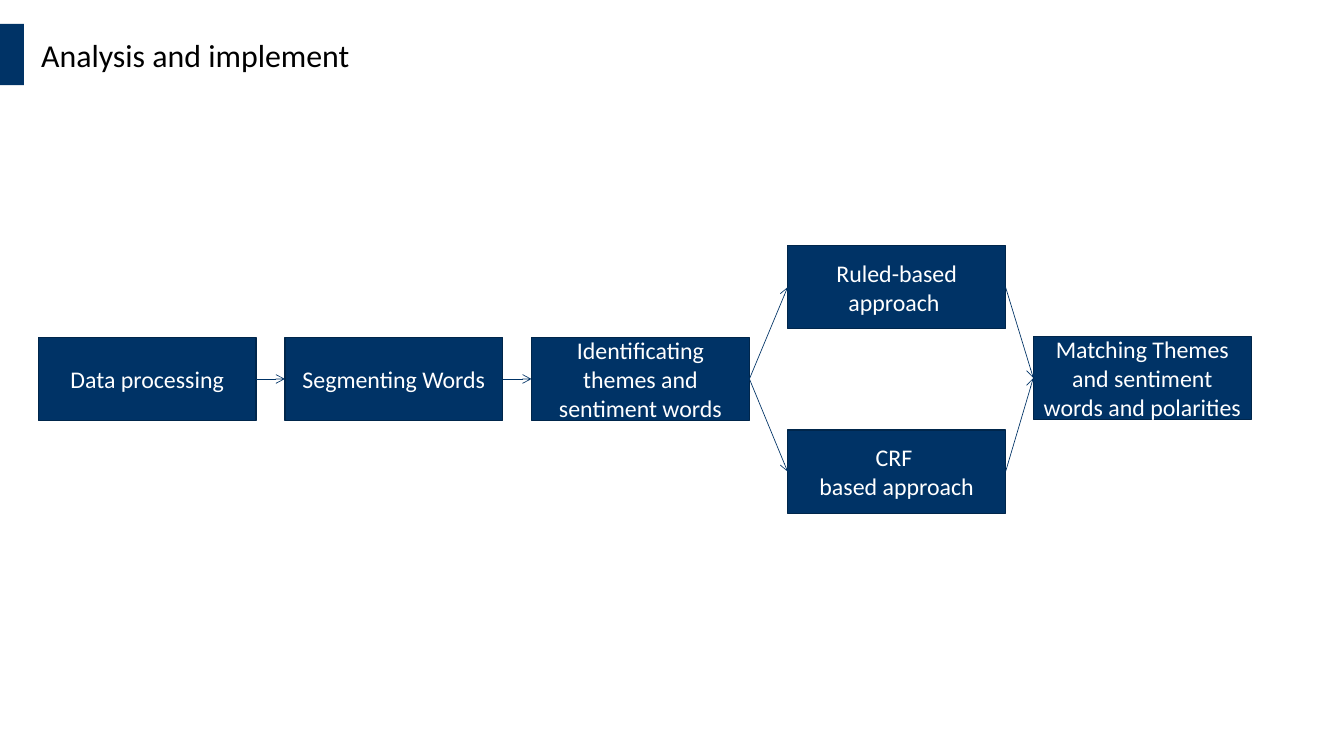
from lxml.etree import SubElement
from pptx import Presentation
from pptx.dml.color import RGBColor
from pptx.enum.shapes import MSO_CONNECTOR, MSO_SHAPE
from pptx.enum.text import MSO_ANCHOR, MSO_AUTO_SIZE, PP_ALIGN
from pptx.oxml.ns import qn
from pptx.util import Inches, Pt

NAVY, DARK_NAVY, WHITE, BLACK = "003366", "00264B", "FFFFFF", "000000"
BOX_WIDTH, BOX_HEIGHT = 2.28, 0.87
LEFT_SITE, RIGHT_SITE = 1, 3


def colour(value):
    return RGBColor.from_string(value)


class FlowPage:
    """Holds the style and the current slide of a flow diagram."""

    def __init__(self, deck, font="Calibri"):
        self.page = deck.slides.add_slide(deck.slide_layouts[5])
        self.font = font

    def add_text(self, para, text, size, hue, align):
        para.alignment = align
        span = para.add_run()
        span.text = text
        span.font.name = self.font
        span.font.size = Pt(size)
        span.font.color.rgb = colour(hue)

    def title(self, text, left, top, width, height):
        box = self.page.shapes.title
        box.left, box.top = Inches(left), Inches(top)
        box.width, box.height = Inches(width), Inches(height)
        frame = box.text_frame
        frame.margin_left = frame.margin_right = 0
        frame.margin_top = frame.margin_bottom = 0
        frame.vertical_anchor = MSO_ANCHOR.TOP
        frame.word_wrap = True
        frame.auto_size = MSO_AUTO_SIZE.SHAPE_TO_FIT_TEXT
        self.add_text(frame.paragraphs[0], text, 24, BLACK, PP_ALIGN.LEFT)

    def block(self, left, top, width, height):
        box = self.page.shapes.add_shape(
            MSO_SHAPE.RECTANGLE, Inches(left), Inches(top), Inches(width), Inches(height)
        )
        box.shadow.inherit = False
        box.fill.solid()
        box.fill.fore_color.rgb = colour(NAVY)
        box.line.fill.background()
        return box

    def step(self, left, top, *lines):
        box = self.block(left, top, BOX_WIDTH, BOX_HEIGHT)
        box.line.color.rgb = colour(DARK_NAVY)
        box.line.width = Pt(1)
        frame = box.text_frame
        frame.word_wrap = True
        frame.vertical_anchor = MSO_ANCHOR.MIDDLE
        for index, text in enumerate(lines):
            para = frame.add_paragraph() if index else frame.paragraphs[0]
            self.add_text(para, text, 18, WHITE, PP_ALIGN.CENTER)
        return box

    def arrow(self, source, target):
        link = self.page.shapes.add_connector(MSO_CONNECTOR.STRAIGHT, 0, 0, 0, 0)
        link.begin_connect(source, RIGHT_SITE)
        link.end_connect(target, LEFT_SITE)
        link.line.color.rgb = colour(NAVY)
        link.line.width = Pt(0.5)
        properties = link._element.spPr
        SubElement(properties.find(qn("a:ln")), qn("a:tailEnd"), type="arrow")
        SubElement(properties, qn("a:effectLst"))


def main():
    deck = Presentation()
    deck.slide_width, deck.slide_height = Inches(14.06), Inches(7.91)
    flow = FlowPage(deck)
    flow.block(0, 0.25, 0.25, 0.64)
    flow.title("Analysis and implement", 0.43, 0.37, 3.93, 0.4)

    stages = ["Data processing", "Segmenting Words", "Identificating themes and sentiment words"]
    processing, segmenting, identifying = [
        flow.step(0.4 + 2.58 * index, 3.53, text) for index, text in enumerate(stages)
    ]
    rules = flow.step(8.24, 2.57, "Ruled-based approach ")
    crf = flow.step(8.24, 4.5, "CRF ", "based approach")
    matching = flow.step(10.81, 3.52, "Matching Themes and sentiment words and polarities")

    flow.arrow(processing, segmenting)
    flow.arrow(segmenting, identifying)
    for approach in (rules, crf):
        flow.arrow(identifying, approach)
        flow.arrow(approach, matching)

    deck.save("out.pptx")


if __name__ == "__main__":
    main()
